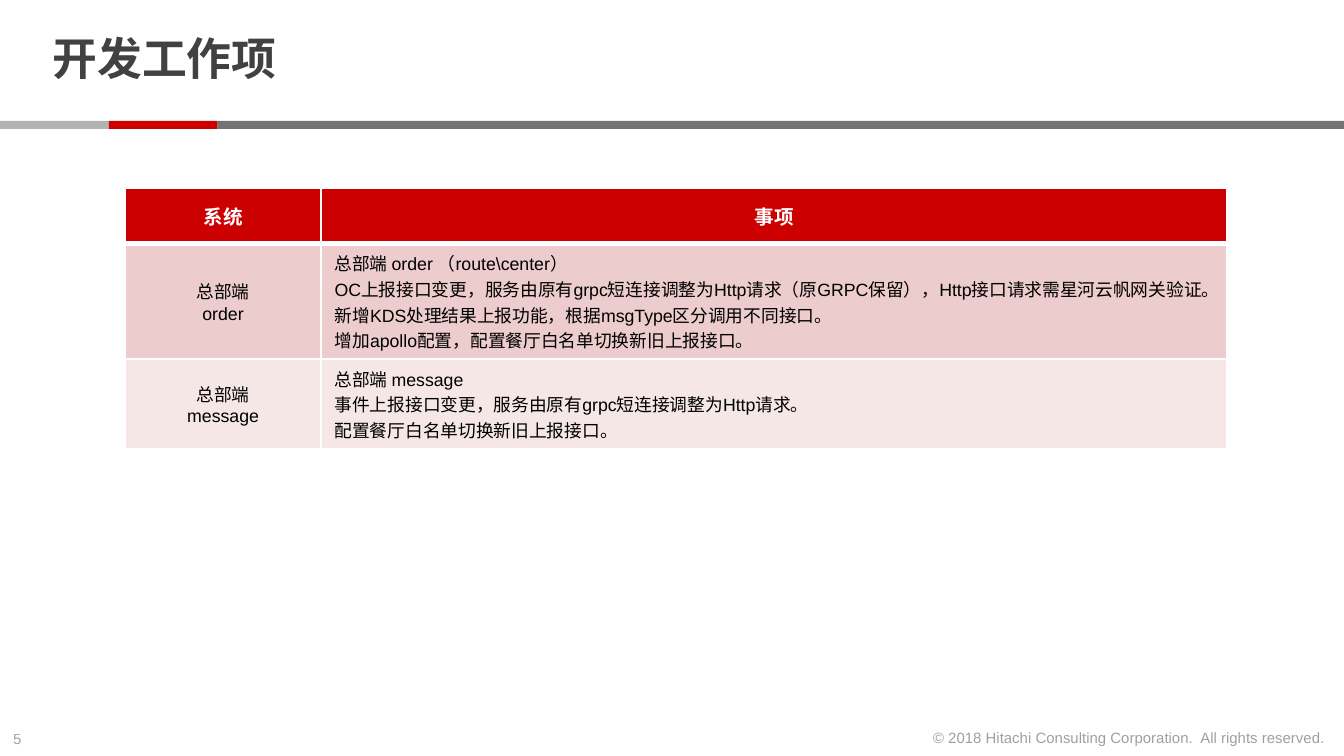
from lxml import etree
from pptx import Presentation
from pptx.dml.color import RGBColor
from pptx.enum.shapes import MSO_SHAPE
from pptx.enum.text import MSO_ANCHOR, PP_ALIGN
from pptx.oxml.ns import qn
from pptx.util import Inches, Pt

LEFT, MID, RIGHT = PP_ALIGN.LEFT, PP_ALIGN.CENTER, PP_ALIGN.RIGHT
MIDDLE = MSO_ANCHOR.MIDDLE
RECT = MSO_SHAPE.RECTANGLE
HEX = {
    "text": "414141", "black": "000000", "white": "FFFFFF",
    "red": "CC0000", "gray": "737373", "silver": "B3B3B3",
    "rose": "ECCCCC", "blush": "F6E7E7",
}


def write(frame, text, size=9.5, tone="black", bold=False, align=LEFT, space=None, alpha=None):
    """Fill a text frame, one paragraph per line; alpha is opacity in percent."""
    for i, line in enumerate(text.split("\n")):
        para = frame.paragraphs[0] if i == 0 else frame.add_paragraph()
        para.alignment = align
        if space:
            para.line_spacing = space
        run = para.add_run()
        run.text = line
        font = run.font
        font.name, font.size, font.bold = "Arial", Pt(size), bold
        font.color.rgb = RGBColor.from_string(HEX[tone])
        if alpha:
            fill = run._r.find(".//" + qn("a:srgbClr"))
            etree.SubElement(fill, qn("a:alpha"), val=str(alpha * 1000))


def paint(item, tone, edges=None):
    """Fill a shape or cell; edges maps the border tags of a cell to points."""
    for tag, points in (edges or {}).items():
        line = etree.SubElement(item._tc.get_or_add_tcPr(), qn(tag), w=str(Pt(points)))
        fill = etree.SubElement(line, qn("a:solidFill"))
        etree.SubElement(fill, qn("a:srgbClr"), val=HEX["white"])
    item.fill.solid()
    item.fill.fore_color.rgb = RGBColor.from_string(HEX[tone])


prs = Presentation()
prs.slide_width, prs.slide_height = Inches(10), Inches(10 * 9 / 16)
slide = prs.slides.add_slide(prs.slide_layouts[5])
shapes = slide.shapes

# Title
title = shapes.title
title.left, title.top = Inches(0.29), Inches(0.06)
title.width, title.height = Inches(7.71), Inches(0.8)
frame = title.text_frame
frame.vertical_anchor = MIDDLE
frame.margin_left = frame.margin_right = Inches(0.1)
frame.margin_top = frame.margin_bottom = 0
write(frame, "开发工作项", size=24, tone="text", bold=True, space=0.85)

# Rule under the title
for x, width, tone in [(0, 0.81, "silver"), (0.81, 0.81, "red"), (1.62, 8.38, "gray")]:
    bar = shapes.add_shape(RECT, Inches(x), Inches(0.9), Inches(width), Inches(0.06))
    bar.shadow.inherit = False
    paint(bar, tone)
    bar.line.fill.background()

# Footer
for text, x, y, width, align in [
    ("5", 0, 5.38, 0.34, LEFT),
    ("© 2018 Hitachi Consulting Corporation.  All rights reserved.", 6.8, 5.37, 3.16, RIGHT),
]:
    box = shapes.add_textbox(Inches(x), Inches(y), Inches(width), Inches(0.24))
    box.text_frame.word_wrap = False
    write(box.text_frame, text, size=8, tone="text", align=align, alpha=50)

# Work items
rows = [
    (0.41, "red", "系统", "事项"),
    (0.86, "rose", "总部端\norder",
     "总部端 order （route\\center）\n"
     "OC上报接口变更，服务由原有grpc短连接调整为Http请求（原GRPC保留），"
     "Http接口请求需星河云帆网关验证。新增KDS处理结果上报功能，"
     "根据msgType区分调用不同接口。\n"
     "增加apollo配置，配置餐厅白名单切换新旧上报接口。"),
    (0.67, "blush", "总部端\nmessage",
     "总部端 message\n"
     "事件上报接口变更，服务由原有grpc短连接调整为Http请求。\n"
     "配置餐厅白名单切换新旧上报接口。"),
]
high = sum(row[0] for row in rows)
table = shapes.add_table(len(rows), 2, Inches(0.93), Inches(1.4), Inches(8.2), Inches(high)).table
for col, width in zip(table.columns, (1.46, 6.74)):
    col.width = Inches(width)
for r, (height, tone, *texts) in enumerate(rows):
    table.rows[r].height = Inches(height)
    head = r == 0
    edges = {"a:lnL": 1, "a:lnR": 1, "a:lnT": 3 if r == 1 else 1, "a:lnB": 3 if head else 1}
    for c, text in enumerate(texts):
        cell = table.cell(r, c)
        cell.vertical_anchor = MIDDLE
        paint(cell, tone, edges)
        write(cell.text_frame, text, size=10.5 if head else 9.5,
              tone="white" if head else "black", bold=head,
              align=MID if head or c == 0 else LEFT)

prs.save("out.pptx")
